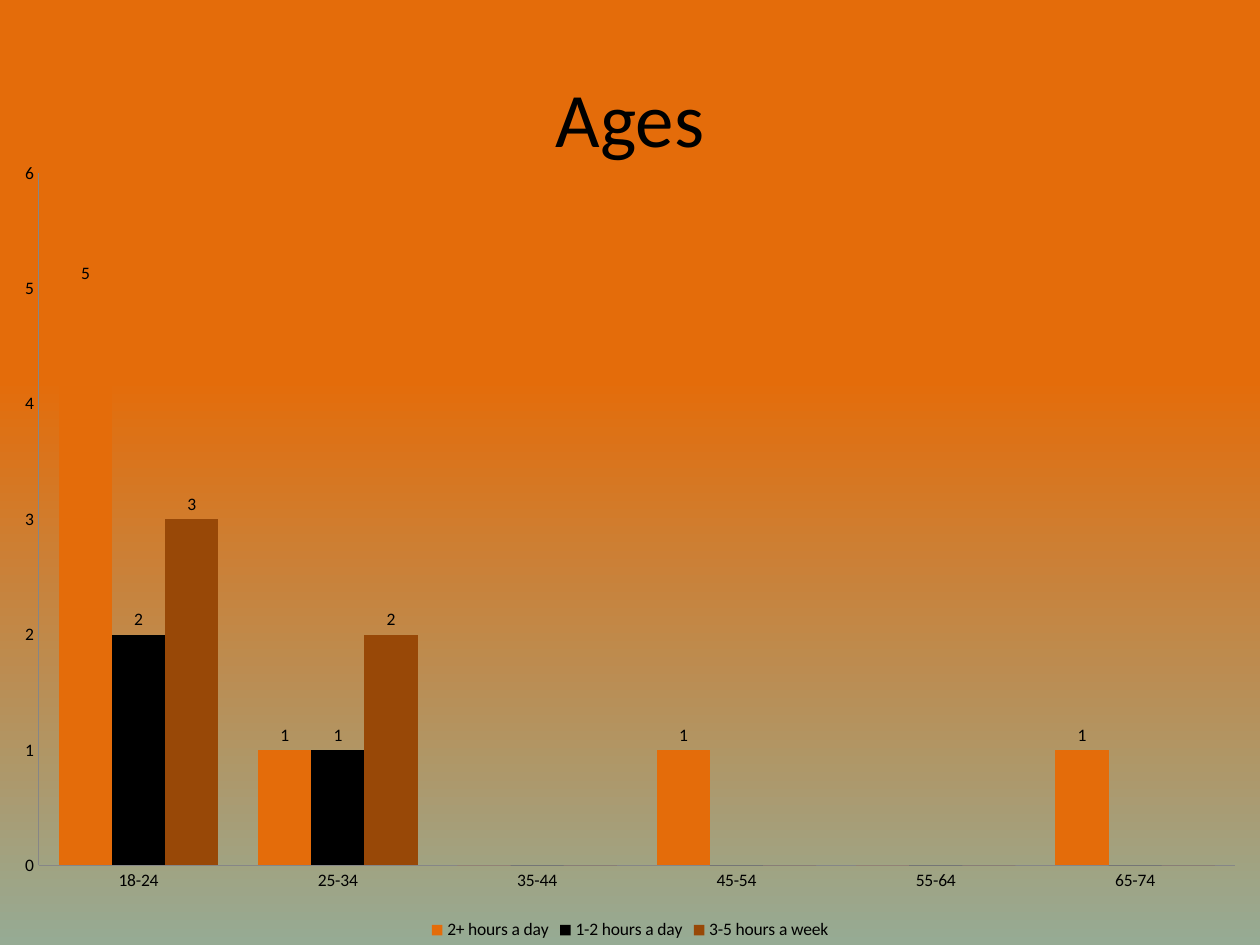
import pptx
import pptx.util
import pptx.chart.data
import pptx.dml.color
import pptx.enum.chart
import pptx.enum.text

Inches, Pt = pptx.util.Inches, pptx.util.Pt
kinds = pptx.enum.chart


def paint(color, code):
    color.rgb = pptx.dml.color.RGBColor.from_string(code)


deck = pptx.Presentation()
deck.slide_width, deck.slide_height = Inches(10), Inches(7.5)
slide = deck.slides.add_slide(deck.slide_layouts[5])

back = slide.background.fill
back.gradient()
back.gradient_angle = 270
for stop, (place, code) in zip(back.gradient_stops, [(0.4, "E46C0A"), (1, "96AB94")]):
    stop.position = place
    paint(stop.color, code)

title = slide.shapes.title
title.left, title.top = Inches(0.5), Inches(0.3)
title.width, title.height = Inches(9), Inches(1.25)
title.text_frame.vertical_anchor = pptx.enum.text.MSO_ANCHOR.MIDDLE
para = title.text_frame.paragraphs[0]
para.alignment = pptx.enum.text.PP_ALIGN.CENTER
run = para.add_run()
run.text = "Ages"
run.font.size = Pt(44)
run.font.name = "Calibri"
paint(run.font.color, "000000")

hours = [
    ("2+ hours a day", [5, 1, 0, 1, 0, 1], "E46C0A"),
    ("1-2 hours a day", [2, 1, 0, 0, 0, 0], "000000"),
    ("3-5 hours a week", [3, 2, 0, 0, 0, 0], "984807"),
]
data = pptx.chart.data.CategoryChartData()
data.categories = ["18-24", "25-34", "35-44", "45-54", "55-64", "65-74"]
for name, counts, code in hours:
    data.add_series(name, counts)
chart = slide.shapes.add_chart(
    kinds.XL_CHART_TYPE.COLUMN_CLUSTERED,
    Inches(0), Inches(1.17), Inches(10), Inches(6.33), data).chart
chart.has_title = False
chart.font.size = Pt(10)
chart.font.name = "Calibri"
paint(chart.font.color, "000000")
chart.has_legend = True
chart.legend.position = kinds.XL_LEGEND_POSITION.BOTTOM
chart.legend.include_in_layout = False

for axis in (chart.category_axis, chart.value_axis):
    axis.has_major_gridlines = False
    axis.major_tick_mark = axis.minor_tick_mark = kinds.XL_TICK_MARK.NONE
    axis.format.line.width = Pt(0.75)
    paint(axis.format.line.color, "868686")
chart.value_axis.minimum_scale = 0
chart.value_axis.maximum_scale = 6
chart.value_axis.major_unit = 1

plot = chart.plots[0]
plot.gap_width = 75
plot.overlap = 0
plot.vary_by_categories = False
for group, (name, counts, code) in zip(plot.series, hours):
    group.format.fill.solid()
    paint(group.format.fill.fore_color, code)
    group.invert_if_negative = False
    labels = group.data_labels
    labels.show_value = True
    labels.number_format = "0;;;"
    labels.number_format_is_linked = False
    labels.position = kinds.XL_LABEL_POSITION.OUTSIDE_END

deck.save("out.pptx")
